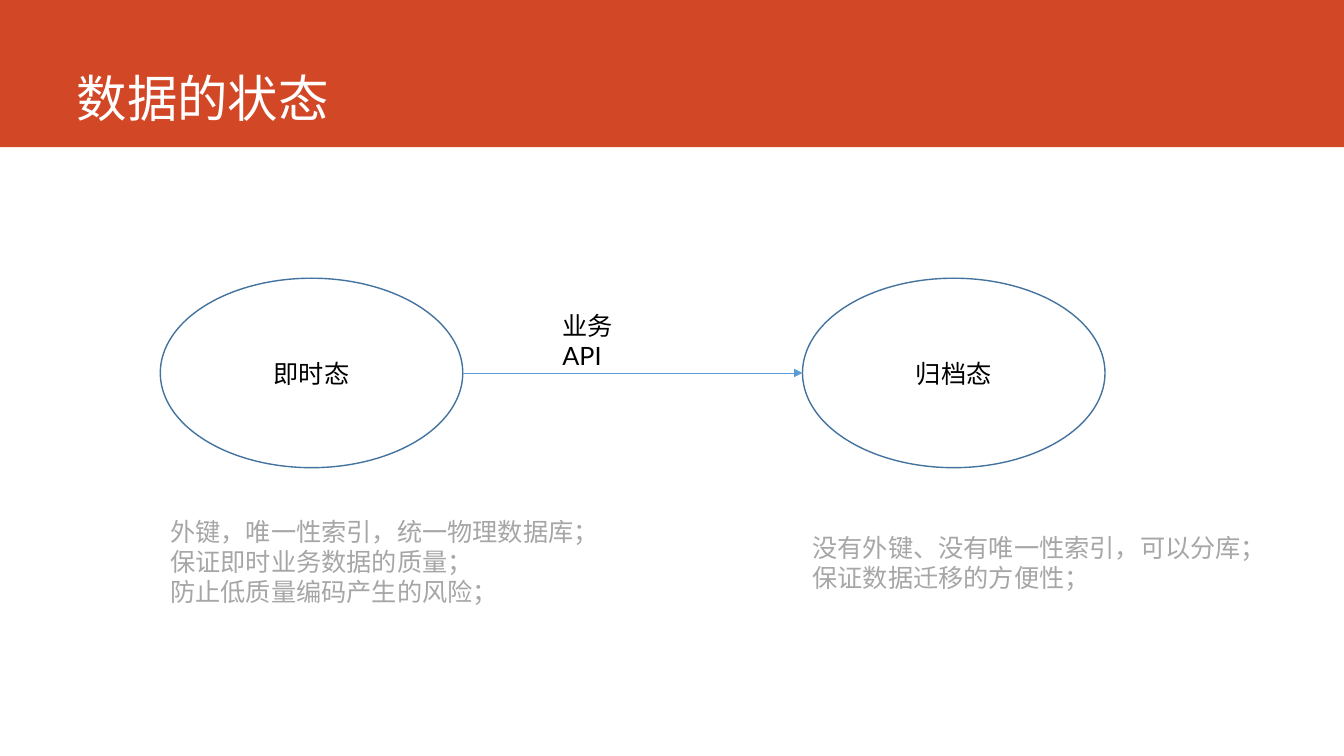
from pptx import Presentation
from pptx.dml.color import RGBColor
from pptx.enum.shapes import MSO_CONNECTOR, MSO_SHAPE
from pptx.enum.text import MSO_ANCHOR, PP_ALIGN
from pptx.oxml.ns import qn
from pptx.util import Inches, Pt
from lxml.etree import SubElement

LEFT, RIGHT = 1.59, 7.96
TOP, WIDE, HIGH = 2.76, 3, 1.88


def color(code):
    return RGBColor.from_string(code)


def box(left, top, width, height):
    return [Inches(n) for n in (left, top, width, height)]


def style(frame, size, font, code, align=PP_ALIGN.LEFT):
    for para in frame.paragraphs:
        para.alignment = align
        para.font.size = Pt(size)
        para.font.name = font
        para.font.color.rgb = color(code)


def add_title(slide, text):
    # Red band, kept behind the title
    band = slide.shapes.add_shape(MSO_SHAPE.RECTANGLE, *box(0, 0, 13.33, 1.46))
    band.shadow.inherit = False
    band.fill.solid()
    band.fill.fore_color.rgb = color("D24726")
    band.line.fill.background()

    title = slide.shapes.title
    title.element.addprevious(band.element)
    title.left, title.top, title.width, title.height = box(0.66, 0, 11.76, 1.32)
    frame = title.text_frame
    frame.text = text
    frame.vertical_anchor = MSO_ANCHOR.BOTTOM
    style(frame, 36, "Noto Sans CJK SC", "FFFFFF")


def add_state(slide, left, text):
    state = slide.shapes.add_shape(MSO_SHAPE.OVAL, *box(left, TOP, WIDE, HIGH))
    state.shadow.inherit = False
    state.fill.background()
    state.line.color.rgb = color("43739E")
    state.line.width = Pt(1)
    frame = state.text_frame
    frame.text = text
    frame.vertical_anchor = MSO_ANCHOR.MIDDLE
    style(frame, 18, "Lato", "000000", PP_ALIGN.CENTER)


def add_arrow(slide, start, end, level):
    ends = box(start, level, end, level)
    arrow = slide.shapes.add_connector(MSO_CONNECTOR.STRAIGHT, *ends)
    arrow.line.color.rgb = color("5B9BD5")
    arrow.line.width = Pt(0.5)
    # Arrowhead and no shadow
    props = arrow.element.spPr
    SubElement(props.find(qn("a:ln")), qn("a:tailEnd"), type="triangle")
    SubElement(props, qn("a:effectLst"))


def add_text(slide, place, lines, code, wrap=False):
    frame = slide.shapes.add_textbox(*box(*place)).text_frame
    frame.word_wrap = wrap
    frame.text = "\n".join(lines)
    style(frame, 18, "Lato", code)


def main():
    deck = Presentation()
    deck.slide_width, deck.slide_height = Inches(13.33), Inches(7.5)
    slide = deck.slides.add_slide(deck.slide_layouts[5])
    add_title(slide, "数据的状态")

    # States and the step between them
    add_state(slide, LEFT, "即时态")
    add_state(slide, RIGHT, "归档态")
    add_arrow(slide, LEFT + WIDE, RIGHT, TOP + HIGH / 2)
    add_text(slide, (5.48, 3.03, 1.04, 0.7), ["业务API"], "000000", wrap=True)

    # Notes under each state
    add_text(slide, (LEFT, 5.07, 4.49, 1.01), [
        "外键，唯一性索引，统一物理数据库；",
        "保证即时业务数据的质量；",
        "防止低质量编码产生的风险；",
    ], "A6A6A6")
    add_text(slide, (RIGHT, 5.23, 4.75, 0.71), [
        "没有外键、没有唯一性索引，可以分库；",
        "保证数据迁移的方便性；",
    ], "A6A6A6")

    deck.save("out.pptx")


main()
